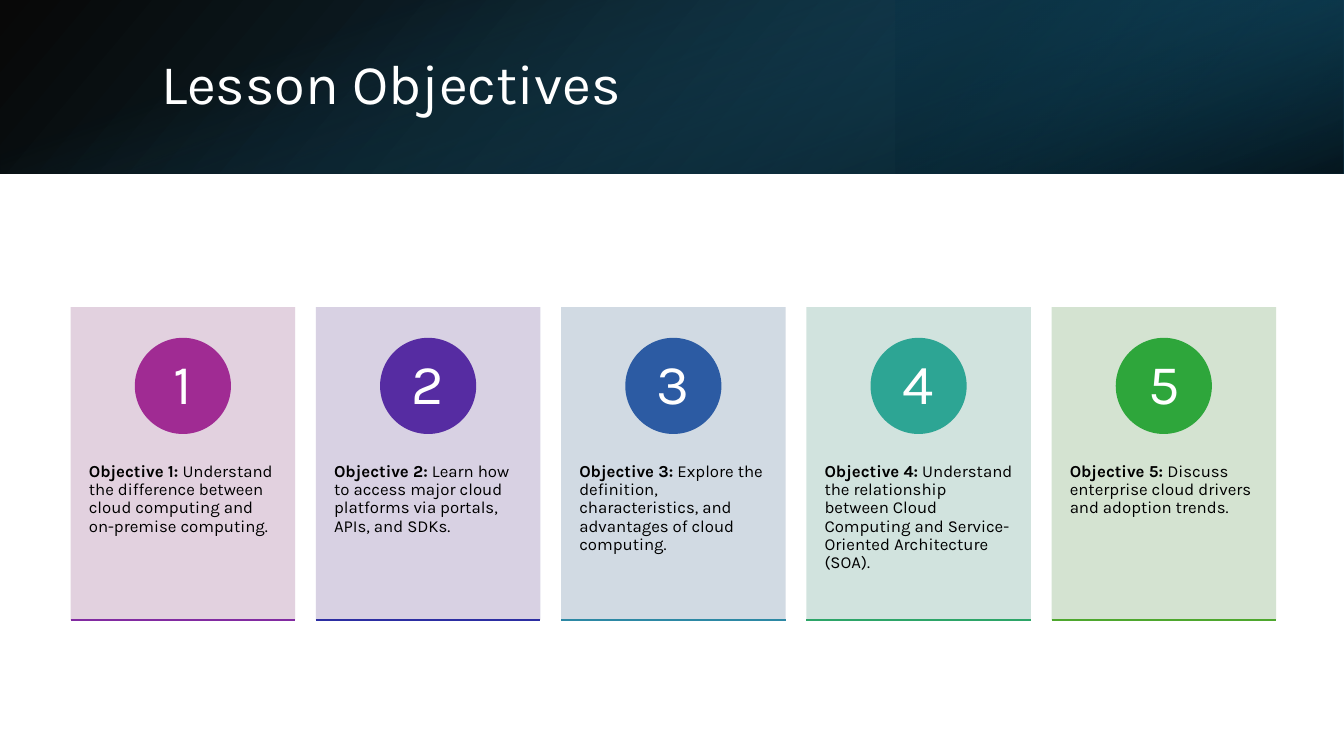
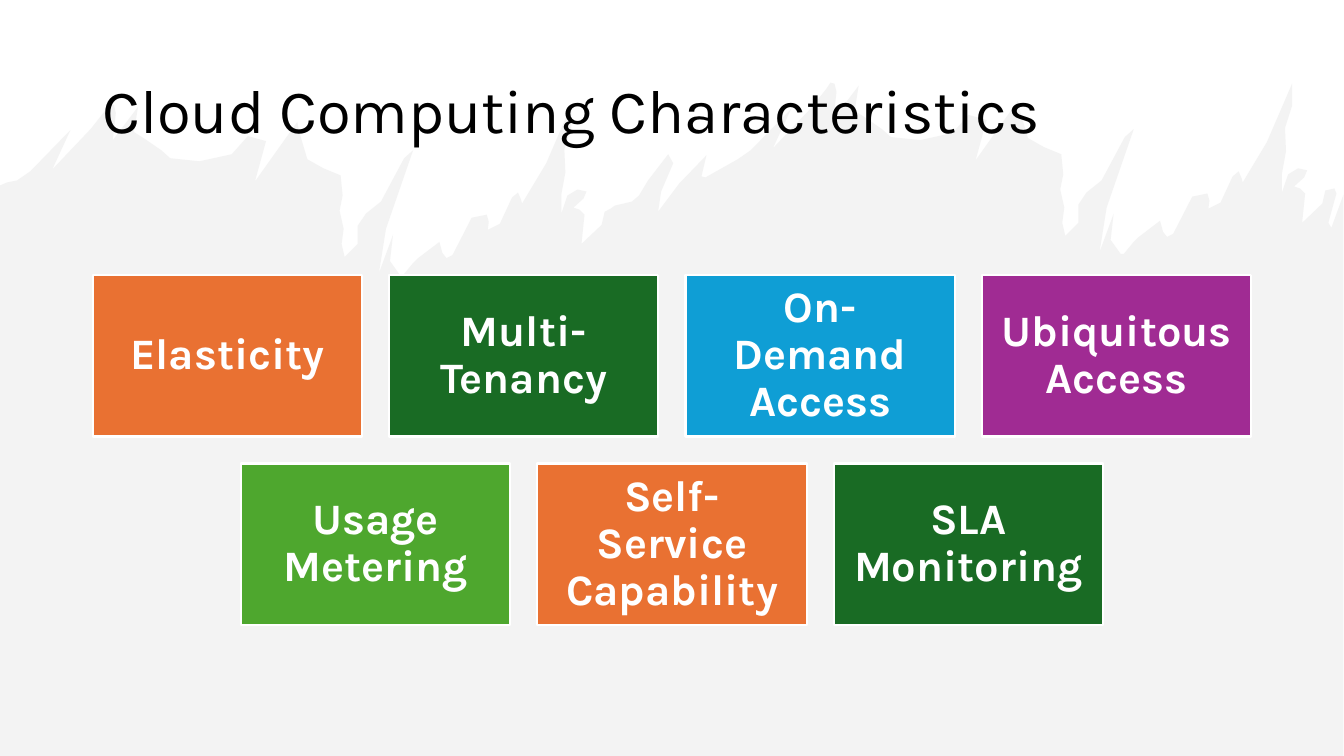
from lxml import etree
from pptx import Presentation
from pptx import util as u
from pptx.dml.color import RGBColor
from pptx.enum import shapes, text
from pptx.oxml.ns import qn

FONT = "Karla"
WHITE = RGBColor(0xFF, 0xFF, 0xFF)
BLACK = RGBColor(0x00, 0x00, 0x00)
NAVY = RGBColor(0x10, 0x48, 0x62)
DEEP_NAVY = RGBColor(0x0B, 0x30, 0x41)
TEAL_BLUE = RGBColor(0x15, 0x60, 0x82)
WAVE_GREY = RGBColor(0xE8, 0xE8, 0xE8)
ORANGE = RGBColor(0xE9, 0x71, 0x32)
FOREST = RGBColor(0x19, 0x6B, 0x24)
SKY = RGBColor(0x0F, 0x9E, 0xD5)
PURPLE = RGBColor(0xA0, 0x2B, 0x93)
GREEN = RGBColor(0x4E, 0xA7, 0x2E)

SLIDE_W, SLIDE_H = u.Cm(33.87), u.Cm(19.05)
BAND_H = u.Cm(4.37)
OUTLINE = u.Pt(1.5)

OBJECTIVES = [
    ("Understand the difference between cloud computing and on-premise computing.",
     RGBColor(0xDF, 0xCD, 0xDC), PURPLE, RGBColor(0x82, 0x2B, 0xA1)),
    ("Learn how to access major cloud platforms via portals, APIs, and SDKs.",
     RGBColor(0xD4, 0xCD, 0xE0), RGBColor(0x56, 0x2C, 0xA2), RGBColor(0x2C, 0x2E, 0xA2)),
    ("Explore the definition, characteristics, and advantages of cloud computing.",
     RGBColor(0xCD, 0xD6, 0xE0), RGBColor(0x2C, 0x5B, 0xA3), RGBColor(0x2D, 0x88, 0xA4)),
    ("Understand the relationship between Cloud Computing and "
     "Service-Oriented Architecture (SOA).",
     RGBColor(0xCD, 0xE1, 0xDB), RGBColor(0x2D, 0xA5, 0x94), RGBColor(0x2D, 0xA5, 0x68)),
    ("Discuss enterprise cloud drivers and adoption trends.",
     RGBColor(0xD0, 0xE1, 0xCD), RGBColor(0x2E, 0xA6, 0x3B), GREEN),
]

CHARACTERISTICS = [
    [("Elasticity", ORANGE), ("Multi-Tenancy", FOREST),
     ("On-Demand Access", SKY), ("Ubiquitous Access", PURPLE)],
    [("Usage Metering", GREEN), ("Self-Service Capability", ORANGE),
     ("SLA Monitoring", FOREST)],
]

WAVE_UNIT = u.Cm(2.54) / 100
WAVE_SHIFT = (715, -21)
WAVE_CREST = [
    (30, 170), (70, 129), (52, 168), (90, 128), (105, 109), (109, 103), (113, 104),
    (115, 112), (112, 139), (137, 106), (133, 131), (144, 138), (160, 149), (169, 157),
    (198, 160), (230, 153), (246, 135), (264, 140), (253, 180), (295, 121), (297, 131),
    (305, 158), (321, 167), (338, 174), (340, 194), (337, 209), (341, 227), (339, 242),
    (342, 255), (355, 242), (355, 224), (363, 212), (378, 200), (401, 157), (410, 149),
    (383, 227), (376, 271), (390, 233), (387, 259), (397, 273), (400, 273), (409, 262),
    (415, 256), (436, 240), (439, 251), (443, 256), (449, 253), (468, 216), (483, 213),
    (485, 220), (484, 228), (496, 222), (508, 196), (514, 191), (517, 198), (518, 202),
    (542, 162), (567, 104), (567, 126), (560, 148), (561, 171), (557, 193), (557, 212),
    (563, 194), (573, 188), (582, 190), (579, 197), (569, 206), (575, 208), (580, 213),
    (577, 242), (597, 223), (600, 210),
]
WAVE_BRIDGE = [
    (606, 207), (610, 204), (627, 200), (634, 194), (643, 179), (663, 153), (668, 162),
    (656, 190), (653, 210), (674, 182), (701, 154), (696, 175), (700, 176), (732, 158),
]
WAVE_END = [
    (1324, 187), (1326, 192), (1318, 221), (1321, 226), (1333, 193),
    (1333, 750), (0, 750), (0, 184), (7, 181), (17, 179),
]


def write(frame, content, size, color, lead="", bold=False, align=text.PP_ALIGN.LEFT,
          anchor=text.MSO_ANCHOR.MIDDLE, margins=(0.25, 0.13, 0.25, 0.13)):
    frame.word_wrap = True
    frame.vertical_anchor = anchor
    (frame.margin_left, frame.margin_top,
     frame.margin_right, frame.margin_bottom) = map(u.Cm, margins)
    paragraph = frame.paragraphs[0]
    paragraph.alignment = align
    paragraph.line_spacing = 0.9
    for words, heavy in ((lead, True), (content, bold)):
        if words:
            run = paragraph.add_run()
            run.text = words
            run.font.name = FONT
            run.font.size = u.Pt(size)
            run.font.bold = heavy
            run.font.color.rgb = color


def paint(shape, fill, line=None, opacity=100):
    shape.shadow.inherit = False
    shape.fill.solid()
    shape.fill.fore_color.rgb = fill
    if line is None:
        shape.line.fill.background()
    else:
        shape.line.color.rgb = line
        shape.line.width = OUTLINE
    if opacity < 100:
        for color in shape._element.spPr.iter(qn("a:srgbClr")):
            etree.SubElement(color, qn("a:alpha"), val=str(opacity * 1000))


def add_box(slide, kind, box, fill, line=None, opacity=100):
    shape = slide.shapes.add_shape(kind, *box)
    paint(shape, fill, line, opacity)
    return shape


def add_text(slide, content, box, size, color, **style):
    write(slide.shapes.add_textbox(*box).text_frame, content, size, color, **style)


def add_gradient(slide, box, stops, angle, rotation=0, flip=False):
    layer = slide.shapes.add_shape(shapes.MSO_SHAPE.RECTANGLE, *box)
    layer.shadow.inherit = False
    layer.line.fill.background()
    layer.rotation = rotation
    properties = layer._element.spPr
    if flip:
        properties.find(qn("a:xfrm")).set("flipH", "1")
    gradient = etree.Element(qn("a:gradFill"), rotWithShape="1")
    stop_list = etree.SubElement(gradient, qn("a:gsLst"))
    for position, color, opacity in stops:
        stop = etree.SubElement(stop_list, qn("a:gs"), pos=str(position * 1000))
        tint = etree.SubElement(stop, qn("a:srgbClr"), val=str(color))
        etree.SubElement(tint, qn("a:alpha"), val=str(opacity * 1000))
    etree.SubElement(gradient, qn("a:lin"), ang=str(angle * 60000), scaled="0")
    properties.insert(2, gradient)


def add_band(slide, left, top, width, height):
    add_gradient(slide, (left, top, width, height),
                 [(0, BLACK, 96), (100, NAVY, 96)], 140, flip=True)
    third = width // 3
    add_gradient(slide, (left + width - third, top, third, height),
                 [(19, DEEP_NAVY, 68), (100, TEAL_BLUE, 79)], 320, rotation=180, flip=True)
    offset = (width - height) // 2
    add_gradient(slide, (left + offset, top - offset, height, width),
                 [(23, TEAL_BLUE, 0), (99, BLACK, 74)], 340, rotation=90)


def add_objective(slide, number, objective, left, top, width, height):
    content, tint, badge_color, rule_color = objective
    add_box(slide, shapes.MSO_SHAPE.RECTANGLE, (left, top, width, height), tint, opacity=90)
    text_top = u.Cm(3.93)
    add_text(slide, " " + content, (left, top + text_top, width, height - text_top),
             12, BLACK, lead=f"Objective {number}:", anchor=text.MSO_ANCHOR.TOP,
             margins=(0.46, 0, 0.43, 0))
    size = u.Cm(2.37)
    badge = add_box(slide, shapes.MSO_SHAPE.OVAL,
                    (left + (width - size) // 2, top + u.Cm(0.8), size, size),
                    badge_color, badge_color)
    write(badge.text_frame, str(number), 40, WHITE, align=text.PP_ALIGN.CENTER,
          margins=(0, 0, 0, 0))
    bottom = top + height
    rule = slide.shapes.add_connector(shapes.MSO_CONNECTOR.STRAIGHT,
                                      left, bottom, left + width, bottom)
    rule.line.color.rgb = rule_color
    rule.line.width = OUTLINE
    etree.SubElement(rule._element.spPr, qn("a:effectLst"))


def add_wave(slide, left, top):
    dx, dy = WAVE_SHIFT
    second_crest = [(x + dx, y + dy) for x, y in WAVE_CREST]
    outline = WAVE_CREST + WAVE_BRIDGE + second_crest + WAVE_END
    builder = slide.shapes.build_freeform(*outline[0], scale=WAVE_UNIT)
    builder.add_line_segments(outline[1:], close=True)
    paint(builder.convert_to_shape(left, top), WAVE_GREY, opacity=50)


def add_tiles(slide, rows, left, top, width):
    tile_w, tile_h, gap = u.Cm(6.79), u.Cm(4.07), u.Cm(0.68)
    for row_index, row in enumerate(rows):
        row_w = len(row) * (tile_w + gap) - gap
        start = left + (width - row_w) // 2
        y = top + row_index * (tile_h + gap)
        for column, (label, color) in enumerate(row):
            tile = add_box(slide, shapes.MSO_SHAPE.RECTANGLE,
                           (start + column * (tile_w + gap), y, tile_w, tile_h),
                           color, WHITE)
            write(tile.text_frame, label, 31, WHITE, bold=True,
                  align=text.PP_ALIGN.CENTER, margins=(0.33, 0.1, 0.33, 0.1))


def build_objectives(slide):
    add_band(slide, 0, 0, SLIDE_W, BAND_H)
    add_text(slide, "Lesson Objectives",
             (u.Cm(3.81), u.Cm(0.95), u.Cm(27.89), u.Cm(2.44)), 40, WHITE)
    for index, objective in enumerate(OBJECTIVES):
        add_objective(slide, index + 1, objective, u.Cm(1.78) + index * u.Cm(6.18),
                      u.Cm(7.74), u.Cm(5.66), u.Cm(7.88))


def build_characteristics(slide):
    add_wave(slide, 0, 0)
    add_text(slide, "Cloud Computing Characteristics",
             (u.Cm(2.33), u.Cm(1.01), u.Cm(29.21), u.Cm(3.68)), 44, BLACK)
    add_tiles(slide, CHARACTERISTICS, 0, u.Cm(6.93), SLIDE_W)


def main():
    deck = Presentation()
    deck.slide_width, deck.slide_height = SLIDE_W, SLIDE_H
    for build in (build_objectives, build_characteristics):
        build(deck.slides.add_slide(deck.slide_layouts[6]))
    deck.save("out.pptx")


if __name__ == "__main__":
    main()
